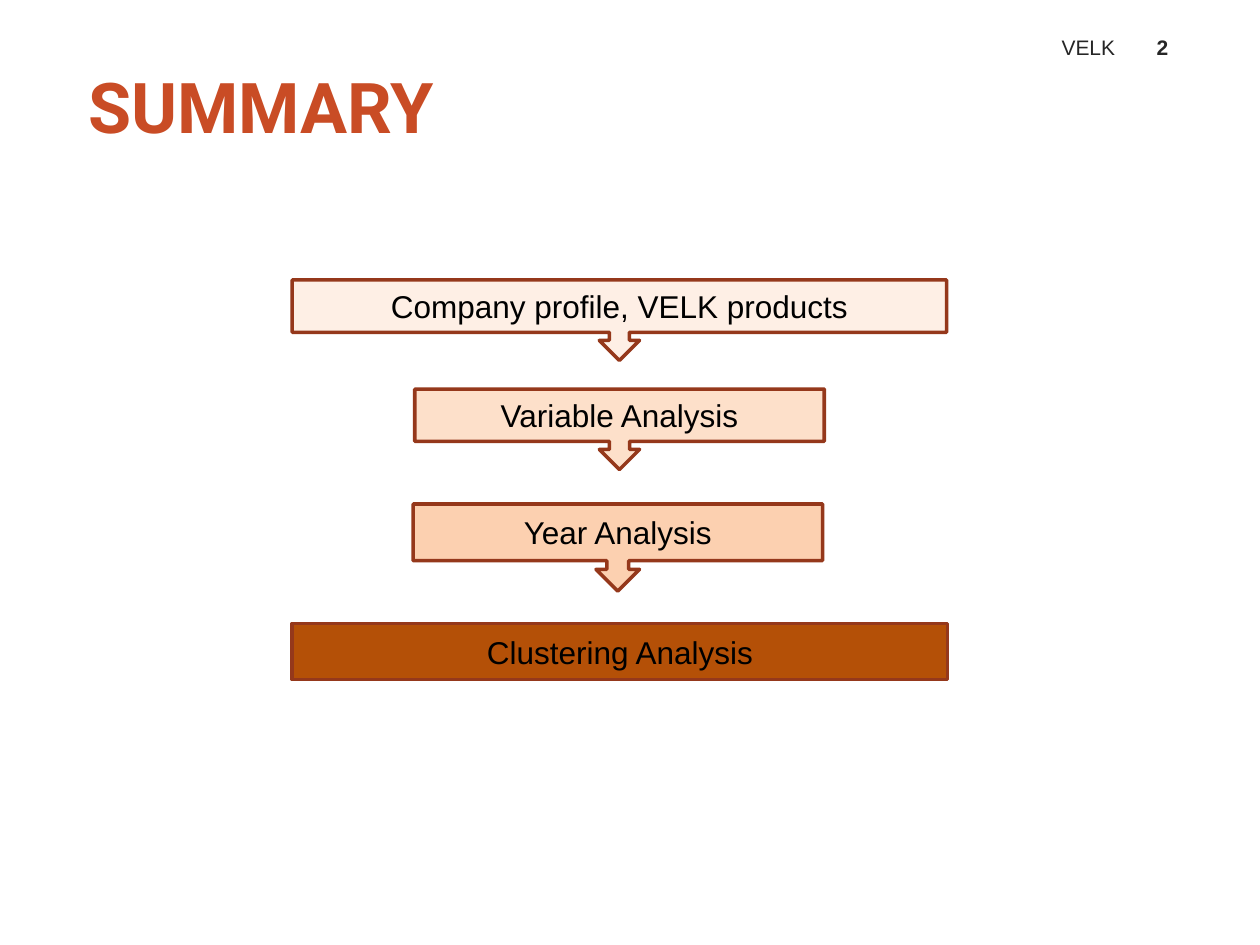
"""Build a summary slide with four analysis steps joined by arrows."""
from dataclasses import dataclass

from pptx import Presentation
from pptx.dml.color import RGBColor
from pptx.enum.shapes import MSO_SHAPE
from pptx.enum.text import MSO_ANCHOR, MSO_AUTO_SIZE, PP_ALIGN
from pptx.util import Pt

CALLOUT, RECT = MSO_SHAPE.DOWN_ARROW_CALLOUT, MSO_SHAPE.RECTANGLE
LEFT, CENTER, RIGHT = PP_ALIGN.LEFT, PP_ALIGN.CENTER, PP_ALIGN.RIGHT
MIDDLE, BOTTOM = MSO_ANCHOR.MIDDLE, MSO_ANCHOR.BOTTOM
BLACK, GRAY, RUST, BROWN = "000000", "262626", "C94C25", "95381B"


@dataclass
class Box:
    """Position and size in points."""
    left: float
    top: float
    width: float
    height: float

    def points(self) -> tuple:
        """Return the four lengths for python-pptx."""
        return Pt(self.left), Pt(self.top), Pt(self.width), Pt(self.height)


@dataclass
class Step:
    """One step of the summary."""
    text: str
    box: Box
    fill: str
    kind: MSO_SHAPE = CALLOUT


@dataclass
class Label:
    """One small text in the header."""
    text: str
    box: Box
    align: PP_ALIGN
    bold: bool = False


STEPS = [
    Step("Company profile, VELK products", Box(167, 160, 374, 46), "FEEFE5"),
    Step("Variable Analysis", Box(237, 222.3, 234, 46), "FDE0CA"),
    Step("Year Analysis", Box(236, 288, 234, 49.8), "FCD0B0"),
    Step("Clustering Analysis", Box(167, 356.3, 374.5, 32), "B45007", RECT),
]
LABELS = [
    Label("VELK", Box(450, 13.7, 194.4, 23.8), RIGHT),
    Label("2", Box(644.4, 13.7, 39.6, 23.8), CENTER, True),
]


def color(code: str) -> RGBColor:
    """Turn a hex string into a colour."""
    return RGBColor.from_string(code)


def write(shape, text: str, size: float, code: str, align: PP_ALIGN,
          anchor: MSO_ANCHOR, bold: bool = False, face: str = "Arial") -> None:
    """Put one formatted paragraph into a shape."""
    frame = shape.text_frame
    frame.text = text
    frame.word_wrap = True
    frame.auto_size = MSO_AUTO_SIZE.NONE
    frame.vertical_anchor = anchor
    para = frame.paragraphs[0]
    para.alignment = align
    font = para.font
    font.name, font.size, font.bold = face, Pt(size), bold
    font.color.rgb = color(code)


def draw_title(slide, text: str, box: Box) -> None:
    """Place the slide title."""
    title = slide.shapes.title
    title.left, title.top, title.width, title.height = box.points()
    write(title, text, 40, RUST, LEFT, MIDDLE, True, "Roboto")
    title.text_frame.margin_left = Pt(14.4)
    title.text_frame.margin_right = 0


def draw_label(slide, label: Label) -> None:
    """Draw a header text."""
    shape = slide.shapes.add_textbox(*label.box.points())
    write(shape, label.text, 12, GRAY, label.align, BOTTOM, label.bold)


def draw_step(slide, step: Step) -> None:
    """Draw a filled and outlined step."""
    shape = slide.shapes.add_shape(step.kind, *step.box.points())
    shape.shadow.inherit = False
    shape.fill.solid()
    shape.fill.fore_color.rgb = color(step.fill)
    shape.line.color.rgb = color(BROWN)
    shape.line.width = Pt(2)
    write(shape, step.text, 18, BLACK, CENTER, MIDDLE)


def main() -> None:
    """Build and save the slide."""
    deck = Presentation()
    deck.slide_width, deck.slide_height = Pt(720), Pt(540)
    slide = deck.slides.add_slide(deck.slide_layouts[5])
    draw_title(slide, "SUMMARY", Box(36, 28.8, 384, 62.6))
    for label in LABELS:
        draw_label(slide, label)
    for step in STEPS:
        draw_step(slide, step)
    deck.save("out.pptx")


if __name__ == "__main__":
    main()
